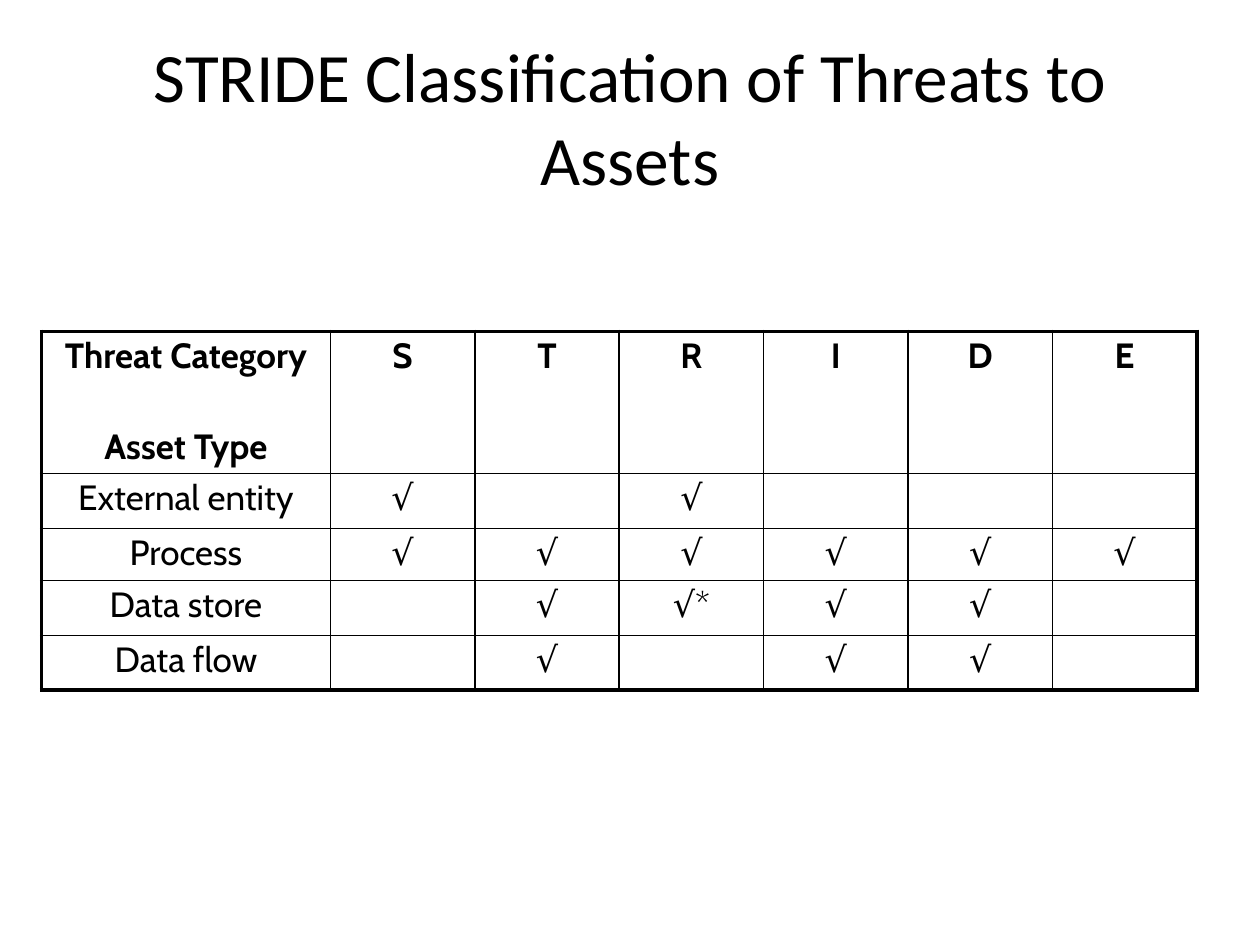
from lxml.etree import SubElement
from pptx import Presentation
from pptx.dml.color import RGBColor
from pptx.enum.text import MSO_ANCHOR, PP_ALIGN
from pptx.oxml.ns import qn
from pptx.util import Inches, Pt

TITLE = "STRIDE Classification of Threats to Assets"
THREATS = "STRIDE"
ASSETS = [
    ("External entity", {"S": "√", "R": "√"}),
    ("Process", dict.fromkeys(THREATS, "√")),
    ("Data store", {"T": "√", "R": "√*", "I": "√", "D": "√"}),
    ("Data flow", {"T": "√", "I": "√", "D": "√"}),
]
GRID = [["Threat Category\nAsset Type", *THREATS]] + [
    [asset, *(marks.get(threat, "") for threat in THREATS)] for asset, marks in ASSETS
]

COLORS = {"ink": "000000"}
INK = RGBColor.from_string(COLORS["ink"])
TITLE_FONT = {"name": "Calibri", "size": Pt(39.6)}
CELL_FONT = {"name": "Cabin", "size": Pt(20)}
CELL_PARAGRAPH = {"alignment": PP_ALIGN.CENTER, "line_spacing": 0.9}
HEADING_GAP = Pt(30)
OUTER_LINE, INNER_LINE = Pt(2.25), Pt(1)

SLIDE_WIDTH, SLIDE_HEIGHT = Inches(10), Inches(7.5)
TITLE_BOX = {
    "left": int(SLIDE_WIDTH * 0.05),
    "top": int(SLIDE_HEIGHT * 0.04),
    "width": int(SLIDE_WIDTH * 0.9),
    "height": Inches(1.25),
}
TABLE_LEFT, TABLE_TOP, TABLE_WIDTH = Inches(0.33), Inches(2.63), Inches(9.17)
COLUMN_SHARES = [2] + [1] * len(THREATS)
ROW_HEIGHTS = [Inches(height) for height in (1.12, 0.44, 0.41, 0.44, 0.43)]


def apply(target, values):
    for attribute, value in values.items():
        setattr(target, attribute, value)


def style_font(font, values, bold=False):
    apply(font, {**values, "bold": bold})
    font.color.rgb = INK


def add_borders(cell, outer_sides):
    properties = cell._tc.get_or_add_tcPr()
    for side, is_outer in outer_sides.items():
        width = OUTER_LINE if is_outer else INNER_LINE
        line = SubElement(properties, qn(f"a:ln{side}"), w=str(width))
        fill = SubElement(line, qn("a:solidFill"))
        SubElement(fill, qn("a:srgbClr"), val=COLORS["ink"])


def add_title(slide):
    title = slide.shapes.title
    apply(title, TITLE_BOX)
    title.text_frame.text = TITLE
    apply(title.text_frame, {"word_wrap": True, "vertical_anchor": MSO_ANCHOR.MIDDLE})
    heading = title.text_frame.paragraphs[0]
    heading.alignment = PP_ALIGN.CENTER
    style_font(heading.runs[0].font, TITLE_FONT)


def fill_cell(cell, wording, bold):
    cell.text = wording
    for index, paragraph in enumerate(cell.text_frame.paragraphs):
        apply(paragraph, CELL_PARAGRAPH)
        paragraph.space_before = HEADING_GAP if index else Pt(0)
        for run in paragraph.runs:
            style_font(run.font, CELL_FONT, bold)


def add_threat_table(slide):
    rows, columns = len(GRID), len(COLUMN_SHARES)
    table = slide.shapes.add_table(
        rows, columns, TABLE_LEFT, TABLE_TOP, TABLE_WIDTH, sum(ROW_HEIGHTS)
    ).table
    apply(table, {"first_row": False, "horz_banding": False})
    for column, share in zip(table.columns, COLUMN_SHARES):
        column.width = TABLE_WIDTH * share // sum(COLUMN_SHARES)
    for row, height in zip(table.rows, ROW_HEIGHTS):
        row.height = height
    for r, entries in enumerate(GRID):
        for c, wording in enumerate(entries):
            cell = table.cell(r, c)
            fill_cell(cell, wording, bold=r == 0)
            add_borders(
                cell,
                {"L": c == 0, "R": c == columns - 1, "T": r == 0, "B": r == rows - 1},
            )
            cell.fill.background()


def main():
    deck = Presentation()
    apply(deck, {"slide_width": SLIDE_WIDTH, "slide_height": SLIDE_HEIGHT})
    slide = deck.slides.add_slide(deck.slide_layouts.get_by_name("Title Only"))
    add_title(slide)
    add_threat_table(slide)
    deck.save("out.pptx")


if __name__ == "__main__":
    main()
